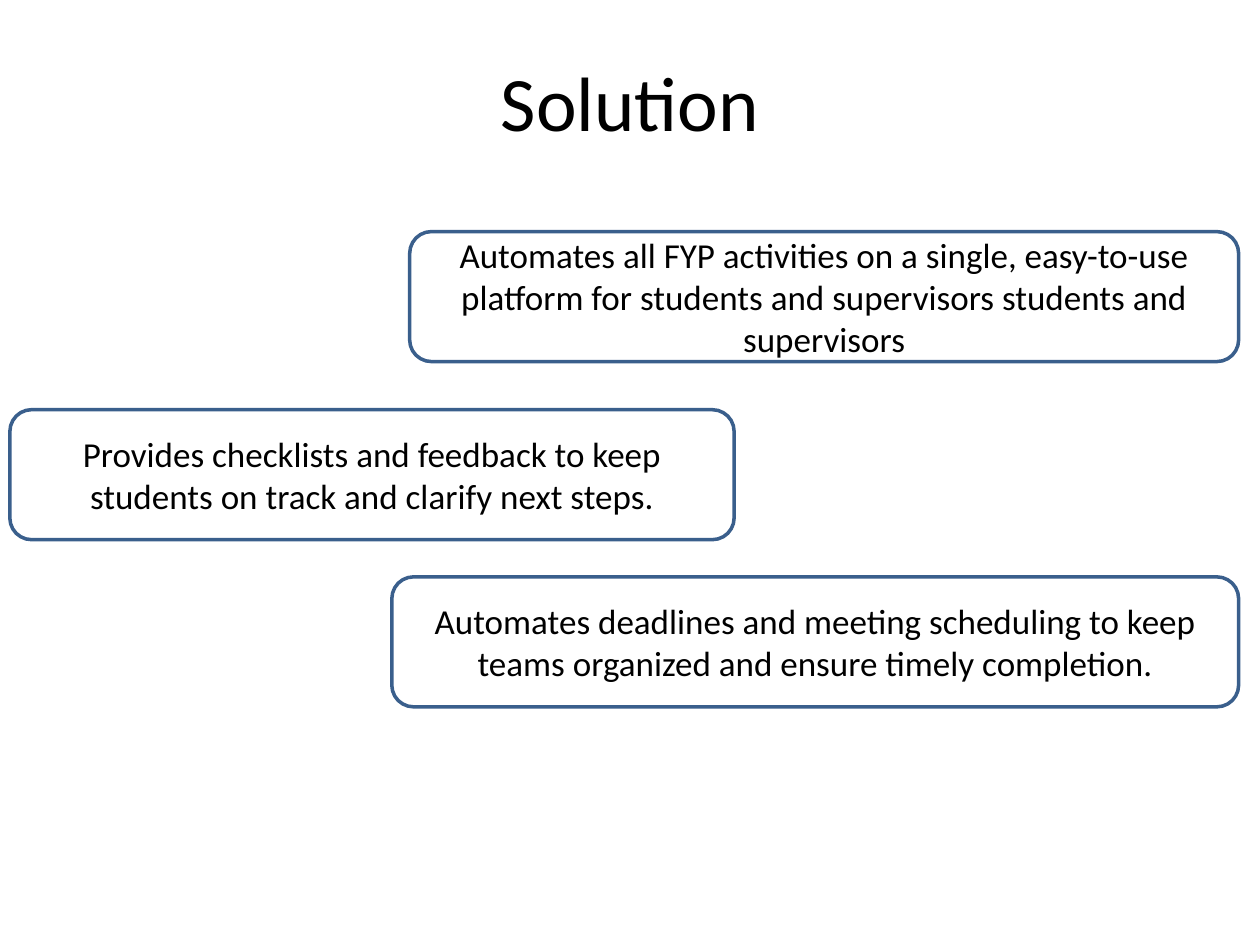
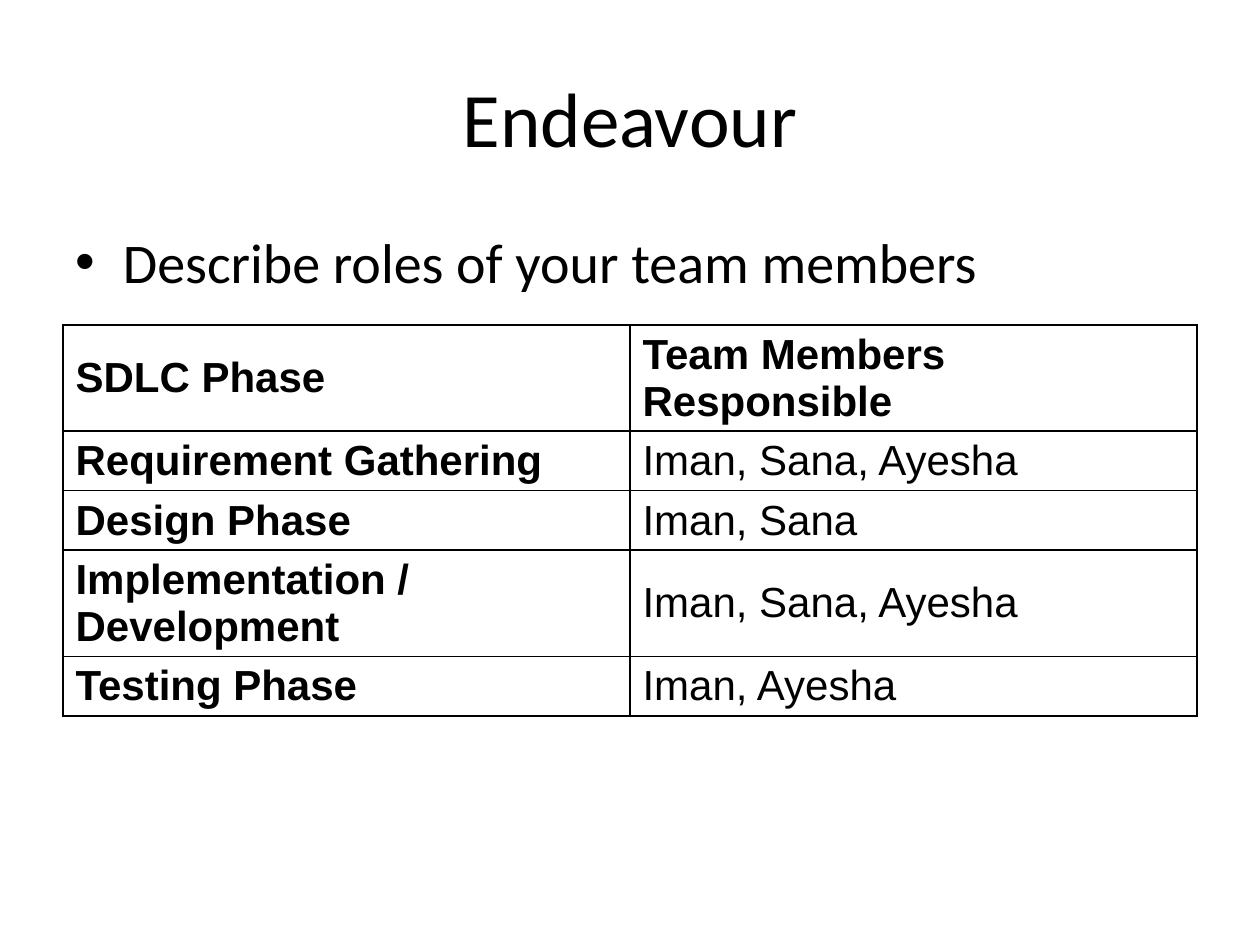
from lxml import etree
from pptx import Presentation
from pptx.dml.color import RGBColor
from pptx.enum import shapes, text
from pptx.oxml import ns
from pptx.util import Cm, Pt

BLACK = RGBColor(0x00, 0x00, 0x00)
WHITE = RGBColor(0xFF, 0xFF, 0xFF)
BLUE = RGBColor(0x3A, 0x5F, 0x8C)
LEFT, WIDE = Cm(1.27), Cm(22.86)


def style(frame, size, name="Calibri", bold=False, align=None):
    """Format every run of a text frame."""
    for para in frame.paragraphs:
        para.alignment = align
        for run in para.runs:
            font = run.font
            font.size, font.name, font.bold = Pt(size), name, bold
            font.color.rgb = BLACK


def start(layout, words, top):
    """Add a slide with its centred title."""
    slide = deck.slides.add_slide(deck.slide_layouts[layout])
    title = slide.shapes.title
    title.left, title.top, title.width, title.height = LEFT, top, WIDE, Cm(3.18)
    title.text_frame.text = words
    title.text_frame.vertical_anchor = text.MSO_ANCHOR.MIDDLE
    style(title.text_frame, 44, align=text.PP_ALIGN.CENTER)
    return slide


deck = Presentation()
deck.slide_width, deck.slide_height = Cm(25.4), Cm(19.05)

# Solution: staggered rounded boxes
slide = start(5, "Solution", Cm(0.43))
boxes = [
    (8.26, 4.67, 16.71, "Automates all FYP activities on a single, easy-to-use platform "
     "for students and supervisors students and supervisors"),
    (0.2, 8.26, 14.6, "Provides checklists and feedback to keep students on track "
     "and clarify next steps."),
    (7.9, 11.63, 17.07, "Automates deadlines and meeting scheduling to keep teams "
     "organized and ensure timely completion."),
]
for left, top, wide, words in boxes:
    box = slide.shapes.add_shape(shapes.MSO_SHAPE.ROUNDED_RECTANGLE,
                                 Cm(left), Cm(top), Cm(wide), Cm(2.62))
    box.shadow.inherit = False
    box.fill.solid()
    box.fill.fore_color.rgb = WHITE
    box.line.color.rgb = BLUE
    box.line.width = Pt(2)
    box.text_frame.text = words
    box.text_frame.word_wrap = True
    box.text_frame.vertical_anchor = text.MSO_ANCHOR.MIDDLE
    style(box.text_frame, 20, align=text.PP_ALIGN.CENTER)

# Endeavour: bullet line
slide = start(1, "Endeavour", Cm(0.76))
body = slide.placeholders[1]
body.left, body.top, body.width, body.height = LEFT, Cm(4.45), WIDE, Cm(12.57)
body.text_frame.text = "Describe roles of your team members"
body.text_frame.paragraphs[0].space_before = Pt(0)
style(body.text_frame, 32)

# Endeavour: table of roles
roles = [
    ("SDLC Phase", "Team Members Responsible"),
    ("Requirement Gathering", "Iman, Sana, Ayesha"),
    ("Design Phase", "Iman, Sana"),
    ("Implementation / Development", "Iman, Sana, Ayesha"),
    ("Testing Phase", "Iman, Ayesha"),
]
high = Cm(1.19)
table = slide.shapes.add_table(len(roles), 2, LEFT, Cm(6.55), WIDE,
                               high * len(roles)).table
table.first_row = table.horz_banding = False
for r, row in enumerate(roles):
    table.rows[r].height = high
    for c, words in enumerate(row):
        cell = table.cell(r, c)
        cell.text_frame.text = words
        cell.vertical_anchor = text.MSO_ANCHOR.MIDDLE
        style(cell.text_frame, 24, "Arial", bold=r == 0 or c == 0)
        # Borders come before the fill in the cell properties
        props = cell._tc.get_or_add_tcPr()
        for side in ("lnL", "lnR", "lnT", "lnB"):
            edge = etree.SubElement(props, ns.qn("a:" + side), w=str(Pt(1)))
            fill = etree.SubElement(edge, ns.qn("a:solidFill"))
            etree.SubElement(fill, ns.qn("a:srgbClr"), val=str(BLACK))
        cell.fill.background()

deck.save("out.pptx")
